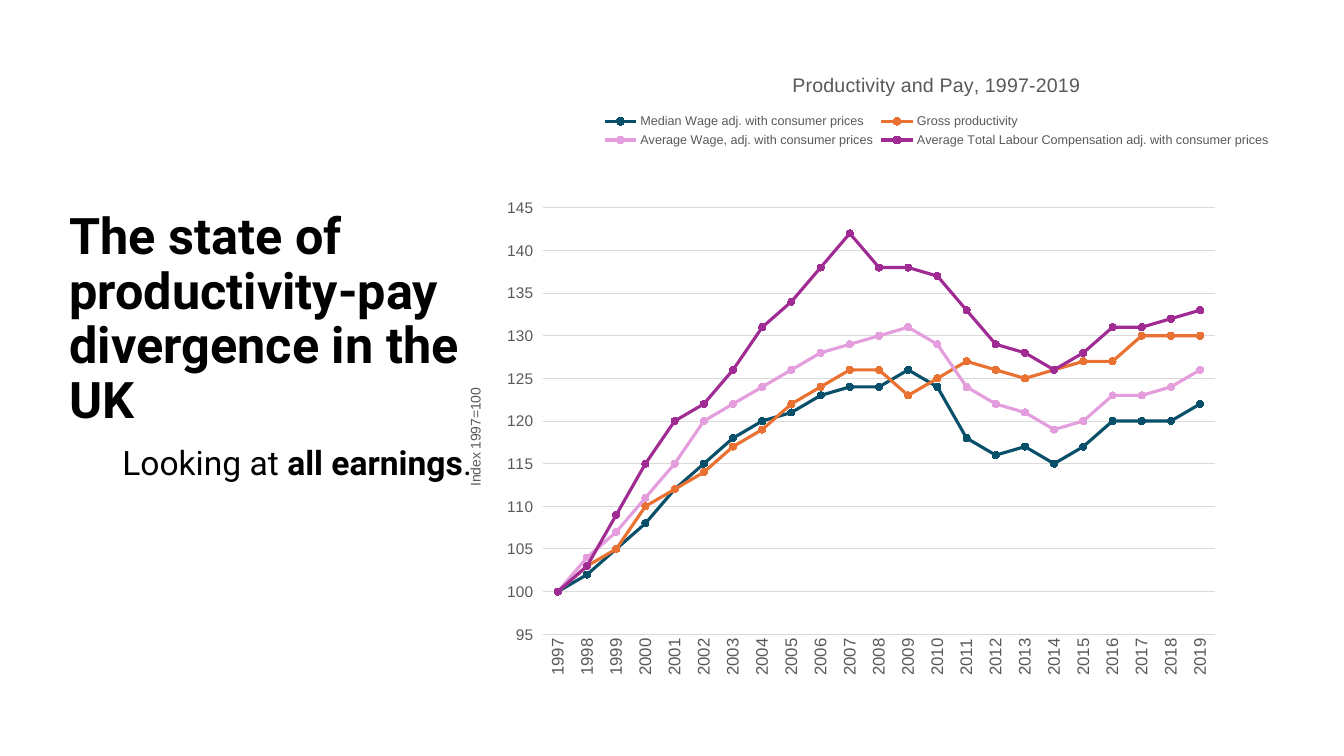
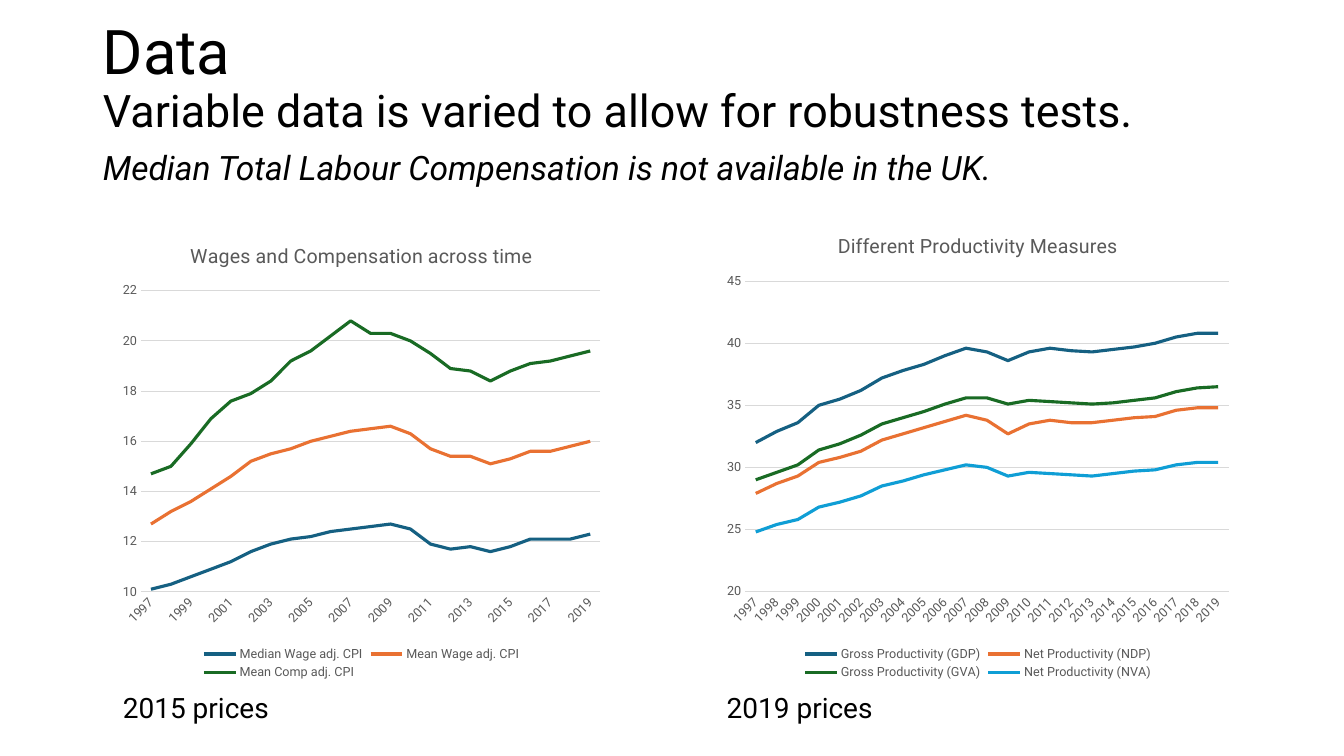
from dataclasses import dataclass
from typing import Any, NamedTuple

from lxml.etree import SubElement
from pptx import Presentation
from pptx.chart.axis import CategoryAxis, ValueAxis
from pptx.chart.data import CategoryChartData
from pptx.dml.color import RGBColor
from pptx.enum.chart import XL_CHART_TYPE, XL_LEGEND_POSITION, XL_MARKER_STYLE, XL_TICK_MARK
from pptx.enum.text import MSO_ANCHOR, MSO_AUTO_SIZE, PP_ALIGN
from pptx.oxml.ns import qn
from pptx.slide import Slide
from pptx.text.text import Font, TextFrame
from pptx.util import Emu, Inches, Pt

COLUMNS, ROWS = 40, 22.5
CELL = Inches(1) / 3
YEARS = [str(year) for year in range(1997, 2020)]


@dataclass(frozen=True)
class Theme:
    text_font: str = "Roboto"
    plain_font: str = "Arial"
    black: str = "000000"
    grey: str = "595959"
    grid: str = "D9D9D9"
    petrol: str = "084F6A"
    blue: str = "156082"
    orange: str = "E97132"
    green: str = "196B24"
    sky: str = "0F9ED5"
    pink: str = "E59EDD"
    purple: str = "A02B93"
    title_size: int = 44
    headline_size: int = 36
    lead_size: int = 32
    note_size: int = 24
    caption_size: int = 20
    chart_title_size: int = 14
    axis_title_size: int = 10
    small_size: int = 9
    line_width: float = 2.25
    grid_width: float = 0.75
    line_spacing: float = 0.9


THEME = Theme()


class Box(NamedTuple):
    """A place on the slide, in grid columns and rows."""
    left: float
    top: float
    width: float
    height: float

    def lengths(self) -> dict[str, Emu]:
        return {name: Emu(round(value * CELL)) for name, value in self._asdict().items()}


class Span(NamedTuple):
    text: str
    size: int
    bold: bool = False
    italic: bool = False


class Line(NamedTuple):
    name: str
    color: str
    values: list[float]


@dataclass(frozen=True)
class LineChart:
    box: Box
    title: str
    lines: list[Line]
    minimum: float
    maximum: float
    step: float
    font: str = THEME.text_font
    year_size: int = THEME.small_size
    value_size: int = THEME.small_size
    year_angle: int = -45
    legend: XL_LEGEND_POSITION = XL_LEGEND_POSITION.BOTTOM
    markers: bool = False
    value_title: str = ""
    value_tick: XL_TICK_MARK = XL_TICK_MARK.NONE
    plot_area: tuple[float, float, float, float] | None = None


def set_all(target: Any, values: dict[str, Any]) -> None:
    for name, value in values.items():
        setattr(target, name, value)


def format_font(font: Font, size: float, name: str = THEME.text_font,
                color: str = THEME.black, bold: bool = False, italic: bool = False) -> None:
    set_all(font, {"size": Pt(size), "name": name, "bold": bold, "italic": italic})
    font.color.rgb = RGBColor.from_string(color)


def fill_text(frame: TextFrame, paragraphs: list[list[Span]],
              anchor: MSO_ANCHOR = MSO_ANCHOR.TOP, align: PP_ALIGN = PP_ALIGN.LEFT,
              line_spacing: float = THEME.line_spacing) -> None:
    set_all(frame, {"word_wrap": True, "auto_size": MSO_AUTO_SIZE.NONE,
                    "vertical_anchor": anchor})
    for index, spans in enumerate(paragraphs):
        para = frame.add_paragraph() if index else frame.paragraphs[0]
        set_all(para, {"alignment": align, "line_spacing": line_spacing,
                       "space_before": Pt(10 if index else 0)})
        for span in spans:
            run = para.add_run()
            run.text = span.text
            format_font(run.font, span.size, bold=span.bold, italic=span.italic)


def add_title(page: Slide, box: Box, span: Span) -> None:
    set_all(page.shapes.title, box.lengths())
    fill_text(page.shapes.title.text_frame, [[span]], MSO_ANCHOR.MIDDLE)


def add_body(page: Slide, box: Box, paragraphs: list[list[Span]]) -> None:
    """Fill the body placeholder with paragraphs that carry no bullets."""
    body = page.placeholders[1]
    set_all(body, box.lengths())
    fill_text(body.text_frame, paragraphs)
    for para in body.text_frame.paragraphs:
        properties = para._p.get_or_add_pPr()
        properties.set("marL", "0")
        properties.set("indent", "0")
        SubElement(properties, qn("a:buNone"))


def add_text(page: Slide, box: Box, spans: list[Span], **layout: Any) -> None:
    shape = page.shapes.add_textbox(*box.lengths().values())
    fill_text(shape.text_frame, [spans], **layout)


def rotate(text_body: Any, degrees: int) -> None:
    properties = text_body.find(qn("a:bodyPr"))
    properties.set("rot", str(degrees * 60000))
    properties.set("vert", "horz")


def set_plot_area(chart: Any, area: tuple[float, float, float, float]) -> None:
    """Place the inside of the plot, in shares of the chart's size."""
    plot_area = chart._chartSpace.chart.plotArea
    layout = plot_area.find(qn("c:layout"))
    if layout is None:
        layout = SubElement(plot_area, qn("c:layout"))
        plot_area.insert(0, layout)
    manual = SubElement(layout, qn("c:manualLayout"))
    settings = {"layoutTarget": "inner", "xMode": "edge", "yMode": "edge",
                **dict(zip("xywh", area))}
    for name, value in settings.items():
        SubElement(manual, qn(f"c:{name}")).set("val", str(value))


def format_year_axis(axis: CategoryAxis, design: LineChart) -> None:
    axis.major_tick_mark = axis.minor_tick_mark = XL_TICK_MARK.NONE
    format_font(axis.tick_labels.font, design.year_size, design.font, THEME.grey)
    rotate(axis._element.find(qn("c:txPr")), design.year_angle)
    axis.format.line.color.rgb = RGBColor.from_string(THEME.grid)
    axis.format.line.width = Pt(THEME.grid_width)


def format_value_axis(axis: ValueAxis, design: LineChart) -> None:
    set_all(axis, {"minimum_scale": design.minimum, "maximum_scale": design.maximum,
                   "major_unit": design.step, "has_major_gridlines": True,
                   "major_tick_mark": design.value_tick,
                   "minor_tick_mark": XL_TICK_MARK.NONE})
    format_font(axis.tick_labels.font, design.value_size, design.font, THEME.grey)
    set_all(axis.tick_labels, {"number_format": "0", "number_format_is_linked": False})
    axis.format.line.fill.background()
    grid_line = axis.major_gridlines.format.line
    grid_line.color.rgb = RGBColor.from_string(THEME.grid)
    grid_line.width = Pt(THEME.grid_width)
    if design.value_title:
        frame = axis.axis_title.text_frame
        frame.text = design.value_title
        format_font(frame.paragraphs[0].runs[0].font, THEME.axis_title_size,
                    design.font, THEME.grey)
        rotate(frame._txBody, -90)


def add_line_chart(page: Slide, design: LineChart) -> None:
    data = CategoryChartData()
    data.categories = YEARS
    for line in design.lines:
        data.add_series(line.name, line.values)
    kind = XL_CHART_TYPE.LINE_MARKERS if design.markers else XL_CHART_TYPE.LINE
    chart = page.shapes.add_chart(kind, *design.box.lengths().values(), data).chart
    format_font(chart.font, THEME.axis_title_size, design.font)

    frame = chart.chart_title.text_frame
    frame.text = design.title
    format_font(frame.paragraphs[0].runs[0].font, THEME.chart_title_size,
                design.font, THEME.grey)
    chart.has_legend = True
    set_all(chart.legend, {"position": design.legend, "include_in_layout": False})
    format_font(chart.legend.font, THEME.small_size, design.font, THEME.grey)
    format_year_axis(chart.category_axis, design)
    format_value_axis(chart.value_axis, design)
    if design.plot_area:
        set_plot_area(chart, design.plot_area)

    chart.plots[0].vary_by_categories = False
    for series, line in zip(chart.plots[0].series, design.lines):
        color = RGBColor.from_string(line.color)
        series.smooth = False
        series.format.line.color.rgb = color
        series.format.line.width = Pt(THEME.line_width)
        if design.markers:
            set_all(series.marker, {"style": XL_MARKER_STYLE.CIRCLE, "size": 5})
            series.marker.format.fill.solid()
            series.marker.format.fill.fore_color.rgb = color
            series.marker.format.line.color.rgb = color


PAY_CHART = LineChart(
    Box(13.6, 1.5, 28.55, 19.53), "Productivity and Pay, 1997-2019",
    [Line("Median Wage adj. with consumer prices", THEME.petrol,
          [100, 102, 105, 108, 112, 115, 118, 120, 121, 123, 124, 124,
           126, 124, 118, 116, 117, 115, 117, 120, 120, 120, 122]),
     Line("Gross productivity", THEME.orange,
          [100, 103, 105, 110, 112, 114, 117, 119, 122, 124, 126, 126,
           123, 125, 127, 126, 125, 126, 127, 127, 130, 130, 130]),
     Line("Average Wage, adj. with consumer prices", THEME.pink,
          [100, 104, 107, 111, 115, 120, 122, 124, 126, 128, 129, 130,
           131, 129, 124, 122, 121, 119, 120, 123, 123, 124, 126]),
     Line("Average Total Labour Compensation adj. with consumer prices", THEME.purple,
          [100, 103, 109, 115, 120, 122, 126, 131, 134, 138, 142, 138,
           138, 137, 133, 129, 128, 126, 128, 131, 131, 132, 133])],
    95, 145, 5, font=THEME.plain_font, year_size=12, value_size=11, year_angle=-90,
    legend=XL_LEGEND_POSITION.TOP, markers=True, value_title="Index 1997=100",
    value_tick=XL_TICK_MARK.OUTSIDE, plot_area=(0.09, 0.24, 0.7, 0.65))

WAGE_CHART = LineChart(
    Box(3.36, 6.66, 14.8, 13.7), "Wages and Compensation across time",
    [Line("Median Wage adj. CPI", THEME.blue,
          [10.1, 10.3, 10.6, 10.9, 11.2, 11.6, 11.9, 12.1, 12.2, 12.4, 12.5, 12.6,
           12.7, 12.5, 11.9, 11.7, 11.8, 11.6, 11.8, 12.1, 12.1, 12.1, 12.3]),
     Line("Mean Wage adj. CPI", THEME.orange,
          [12.7, 13.2, 13.6, 14.1, 14.6, 15.2, 15.5, 15.7, 16, 16.2, 16.4, 16.5,
           16.6, 16.3, 15.7, 15.4, 15.4, 15.1, 15.3, 15.6, 15.6, 15.8, 16]),
     Line("Mean Comp adj. CPI", THEME.green,
          [14.7, 15, 15.9, 16.9, 17.6, 17.9, 18.4, 19.2, 19.6, 20.2, 20.8, 20.3,
           20.3, 20, 19.5, 18.9, 18.8, 18.4, 18.8, 19.1, 19.2, 19.4, 19.6])],
    10, 22, 2)

PRODUCTIVITY_CHART = LineChart(
    Box(21.33, 6.36, 15.55, 14), "Different Productivity Measures",
    [Line("Gross Productivity (GDP)", THEME.blue,
          [32, 32.9, 33.6, 35, 35.5, 36.2, 37.2, 37.8, 38.3, 39, 39.6, 39.3,
           38.6, 39.3, 39.6, 39.4, 39.3, 39.5, 39.7, 40, 40.5, 40.8, 40.8]),
     Line("Net Productivity (NDP)", THEME.orange,
          [27.9, 28.7, 29.3, 30.4, 30.8, 31.3, 32.2, 32.7, 33.2, 33.7, 34.2, 33.8,
           32.7, 33.5, 33.8, 33.6, 33.6, 33.8, 34, 34.1, 34.6, 34.8, 34.8]),
     Line("Gross Productivity (GVA)", THEME.green,
          [29, 29.6, 30.2, 31.4, 31.9, 32.6, 33.5, 34, 34.5, 35.1, 35.6, 35.6,
           35.1, 35.4, 35.3, 35.2, 35.1, 35.2, 35.4, 35.6, 36.1, 36.4, 36.5]),
     Line("Net Productivity (NVA)", THEME.sky,
          [24.8, 25.4, 25.8, 26.8, 27.2, 27.7, 28.5, 28.9, 29.4, 29.8, 30.2, 30,
           29.3, 29.6, 29.5, 29.4, 29.3, 29.5, 29.7, 29.8, 30.2, 30.4, 30.4])],
    20, 45, 5)


def build_pay_page(page: Slide) -> None:
    add_title(page, Box(1.77, 5.94, 13.32, 7.17),
              Span("The state of productivity-pay divergence in the UK",
                   THEME.headline_size, bold=True))
    size = THEME.note_size
    add_text(page, Box(2.46, 13, 11.88, 1.5),
             [Span("Looking at ", size), Span("all earnings", size, bold=True), Span(".", size)],
             align=PP_ALIGN.RIGHT, line_spacing=1.0)
    add_line_chart(page, PAY_CHART)


def build_data_page(page: Slide) -> None:
    add_title(page, Box(2.76, -0.54, 34.5, 4.35), Span("Data", THEME.title_size))
    add_body(page, Box(2.76, 2.5, 34.5, 14.28), [
        [Span("Variable data is varied to allow for robustness tests.", THEME.lead_size)],
        [Span("Median Total Labour Compensation is not available in the UK.",
              THEME.note_size, italic=True)]])
    for design, caption in ((WAGE_CHART, "2015 prices"), (PRODUCTIVITY_CHART, "2019 prices")):
        add_line_chart(page, design)
        add_text(page, Box(design.box.left, 18.93, 5.28, 4.35),
                 [Span(caption, THEME.caption_size)], anchor=MSO_ANCHOR.MIDDLE)


def main() -> None:
    deck = Presentation()
    deck.slide_width, deck.slide_height = Emu(round(COLUMNS * CELL)), Emu(round(ROWS * CELL))
    title_only, title_and_body = deck.slide_layouts[5], deck.slide_layouts[1]
    build_pay_page(deck.slides.add_slide(title_only))
    build_data_page(deck.slides.add_slide(title_and_body))
    deck.save("out.pptx")


if __name__ == "__main__":
    main()
